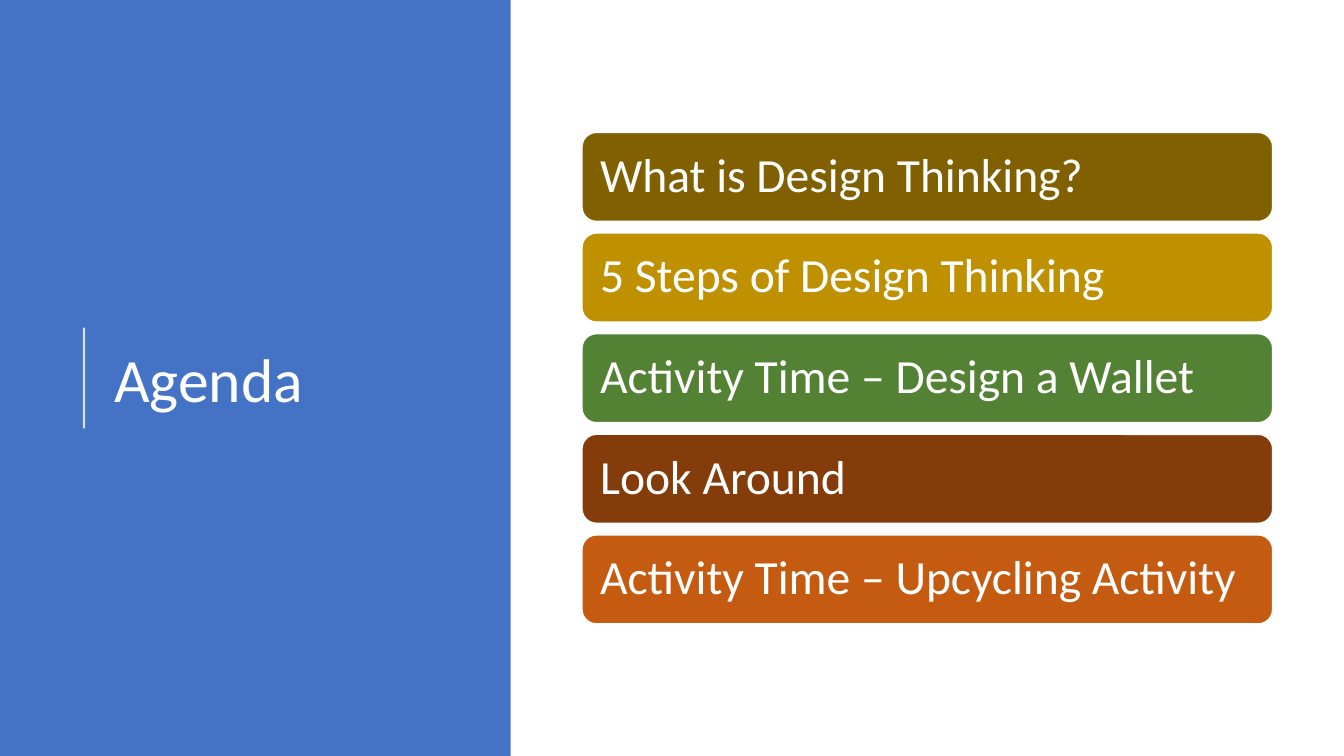
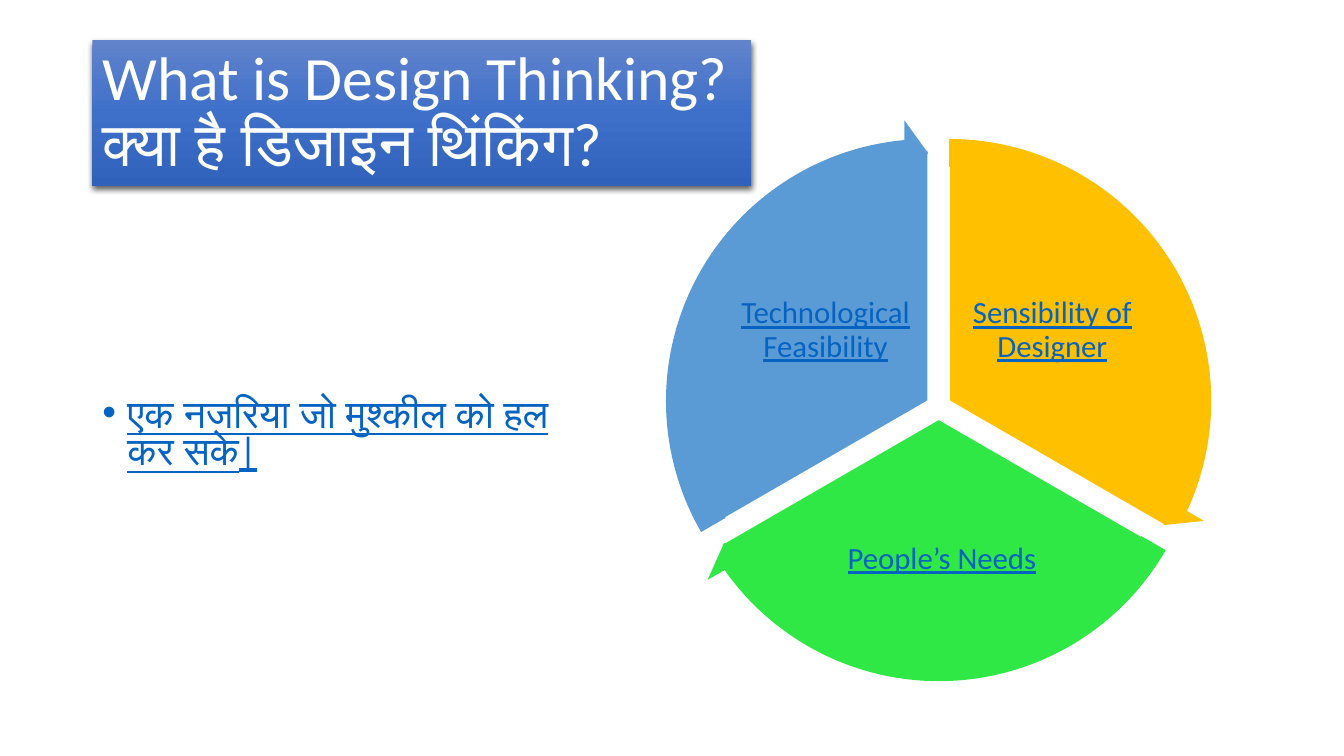
from dataclasses import dataclass, field
from typing import Any, NamedTuple

from pptx import Presentation
from pptx import util as u
from pptx.dml.color import RGBColor
from pptx.enum import shapes, text
from pptx.oxml import parse_xml
from pptx.oxml.ns import nsdecls, qn

COLUMNS, ROWS = 80, 45
CELL = u.Inches(7.5) / ROWS
WHITE, BLUE, LINK = "FFFFFF", "4472C4", "0563C1"
GOLD, GREEN, SKY = "FFC000", "30E845", "5B9BD5"
ARROW_HEAD_DEGREES = 5.46
ADJUSTMENT_PER_DEGREE = 0.6
MIDDLE = text.MSO_ANCHOR.MIDDLE
CENTER = text.PP_ALIGN.CENTER


class Box(NamedTuple):
    column: float
    row: float
    columns: float
    rows: float

    def emu(self) -> list[int]:
        return [grid(value) for value in self]


@dataclass(frozen=True)
class TextStyle:
    font: dict[str, Any]
    color: str
    paragraph: dict[str, Any] = field(default_factory=lambda: {"line_spacing": 0.9})
    anchor: Any = MIDDLE
    inset: float | None = None


@dataclass(frozen=True)
class AgendaItem:
    caption: str
    color: str


@dataclass(frozen=True)
class Sector:
    caption: str
    color: str
    center: tuple[float, float]
    start: float
    end: float
    label: Box


TITLE = TextStyle({"size": u.Pt(44), "name": "Calibri"}, WHITE)
AGENDA = TextStyle({"size": u.Pt(34), "name": "Calibri"}, WHITE, inset=0.84)
LABEL = TextStyle(
    {"size": u.Pt(22), "name": "Calibri", "underline": True}, LINK,
    {"line_spacing": 0.9, "alignment": CENTER}, inset=0.18,
)
BODY = TextStyle(
    {"size": u.Pt(28), "name": "Calibri", "underline": True}, LINK,
    {"line_spacing": 0.8, "space_before": u.Pt(10)}, text.MSO_ANCHOR.TOP,
)

AGENDA_ITEMS = [
    AgendaItem("What is Design Thinking?", "806000"),
    AgendaItem("5 Steps of Design Thinking", "BF9000"),
    AgendaItem("Activity Time – Design a Wallet", "548235"),
    AgendaItem("Look Around", "843C0B"),
    AgendaItem("Activity Time – Upcycling Activity", "C55A11"),
]
SECTORS = [
    Sector("Sensibility of Designer", GOLD, (56.5, 23.87), 270, 30,
           Box(57.3, 15.24, 10.68, 8.88)),
    Sector("People’s Needs", GREEN, (55.88, 24.95), 30, 150,
           Box(48.06, 29.4, 16.02, 7.8)),
    Sector("Technological Feasibility", SKY, (55.24, 23.87), 150, 270,
           Box(43.8, 15.24, 10.68, 8.88)),
]


def grid(cells: float) -> int:
    return round(cells * CELL)


def rgb(color: str) -> RGBColor:
    return RGBColor.from_string(color)


def set_values(target: Any, values: dict[str, Any]) -> None:
    for name, value in values.items():
        setattr(target, name, value)


def write(shape: Any, content: str, style: TextStyle) -> Any:
    frame = shape.text_frame
    set_values(frame, {"word_wrap": True, "vertical_anchor": style.anchor})
    if style.inset is not None:
        sides = ("left", "top", "right", "bottom")
        set_values(frame, {f"margin_{side}": grid(style.inset) for side in sides})
    paragraph = frame.paragraphs[0]
    paragraph.text = content
    set_values(paragraph, {"alignment": text.PP_ALIGN.LEFT, **style.paragraph})
    for run in paragraph.runs:
        set_values(run.font, style.font)
        run.font.color.rgb = rgb(style.color)
    return paragraph


def add_text(slide: Any, box: Box, content: str, style: TextStyle) -> Any:
    return write(slide.shapes.add_textbox(*box.emu()), content, style)


def add_block(slide: Any, preset: Any, box: Box, color: str,
              outline: float = 0, adjustments: tuple[float, ...] = ()) -> Any:
    shape = slide.shapes.add_shape(preset, *box.emu())
    shape.shadow.inherit = False
    shape.fill.solid()
    shape.fill.fore_color.rgb = rgb(color)
    if outline:
        shape.line.color.rgb = rgb(WHITE)
        shape.line.width = u.Pt(outline)
    else:
        shape.line.fill.background()
    for index, value in enumerate(adjustments):
        shape.adjustments[index] = value
    return shape


def add_rule(slide: Any, column: float, top: float, bottom: float) -> None:
    rule = slide.shapes.add_connector(
        shapes.MSO_CONNECTOR.STRAIGHT,
        grid(column), grid(bottom), grid(column), grid(top),
    )
    rule.line.color.rgb = rgb(WHITE)
    rule.line.width = u.Pt(1.5)
    properties = rule._element.spPr
    color = properties.find(".//" + qn("a:srgbClr"))
    color.append(parse_xml(f'<a:alpha {nsdecls("a")} val="80000"/>'))
    properties.append(parse_xml(f'<a:effectLst {nsdecls("a")}/>'))


def add_gradient_and_shadow(shape: Any, colors: list[str]) -> None:
    step = 100000 // (len(colors) - 1)
    stops = "".join(
        f'<a:gs pos="{index * step}"><a:srgbClr val="{color}"/></a:gs>'
        for index, color in enumerate(colors)
    )
    properties = shape._element.spPr
    properties.replace(properties.find(qn("a:solidFill")), parse_xml(
        f'<a:gradFill {nsdecls("a")} rotWithShape="1"><a:gsLst>{stops}</a:gsLst>'
        '<a:lin ang="5400000" scaled="0"/></a:gradFill>'
    ))
    properties.find(qn("a:effectLst")).append(parse_xml(
        f'<a:outerShdw {nsdecls("a")} blurRad="{u.Pt(4.5)}" dist="{u.Pt(1.5)}" '
        'dir="5400000" algn="ctr" rotWithShape="0">'
        '<a:srgbClr val="000000"><a:alpha val="63000"/></a:srgbClr></a:outerShdw>'
    ))


def add_bullet(paragraph: Any, indent: float) -> None:
    properties = paragraph._p.get_or_add_pPr()
    properties.set("marL", str(grid(indent)))
    properties.set("indent", str(-grid(indent)))
    properties.append(parse_xml(f'<a:buFont {nsdecls("a")} typeface="Arial"/>'))
    properties.append(parse_xml(f'<a:buChar {nsdecls("a")} char="•"/>'))


def centered(center: tuple[float, float], size: float) -> Box:
    column, row = center
    return Box(column - size / 2, row - size / 2, size, size)


def add_sector(slide: Any, sector: Sector) -> None:
    angles = tuple(angle * ADJUSTMENT_PER_DEGREE for angle in (sector.start, sector.end))
    add_block(slide, shapes.MSO_SHAPE.PIE, centered(sector.center, 29.88),
              sector.color, 1, angles)
    add_text(slide, sector.label, sector.caption, LABEL)


def add_sector_arrow(slide: Any, sector: Sector) -> None:
    head, end, start = (
        angle * ADJUSTMENT_PER_DEGREE
        for angle in (ARROW_HEAD_DEGREES, sector.end - ARROW_HEAD_DEGREES, sector.start)
    )
    add_block(slide, shapes.MSO_SHAPE.CIRCULAR_ARROW, centered(sector.center, 33.54),
              sector.color, adjustments=(0.05, head, end, start, 0.06))


def build_agenda(slide: Any) -> None:
    add_block(slide, shapes.MSO_SHAPE.RECTANGLE, Box(0, 0, 30.4, ROWS), BLUE)
    add_rule(slide, 5, 19.5, 25.5)
    add_text(slide, Box(6.2, 4.68, 22.1, 36.15), "Agenda", TITLE)
    for index, item in enumerate(AGENDA_ITEMS):
        bar = add_block(slide, shapes.MSO_SHAPE.ROUNDED_RECTANGLE,
                        Box(34.62, 7.86 + index * 5.99, 41.16, 5.34), item.color, 1.5)
        write(bar, item.caption, AGENDA)


def build_design_thinking(slide: Any) -> None:
    banner = add_block(slide, shapes.MSO_SHAPE.RECTANGLE, Box(5.5, 2.4, 39.2, 8.7), BLUE)
    add_gradient_and_shadow(banner, ["6183CB", "3E70CA", "3062BB"])
    write(banner, "What is Design Thinking?\vक्या है डिजाइन थिंकिंग?", TITLE)
    for sector in SECTORS:
        add_sector(slide, sector)
    for sector in SECTORS:
        add_sector_arrow(slide, sector)
    statement = add_text(slide, Box(5.5, 23.4, 28.44, 5.46),
                         "एक नजरिया जो मुश्कील को हल कर सके|", BODY)
    add_bullet(statement, 1.5)


def main() -> None:
    presentation = Presentation()
    presentation.slide_width = grid(COLUMNS)
    presentation.slide_height = grid(ROWS)
    blank = presentation.slide_layouts[6]
    for build in (build_agenda, build_design_thinking):
        build(presentation.slides.add_slide(blank))
    presentation.save("out.pptx")


main()
